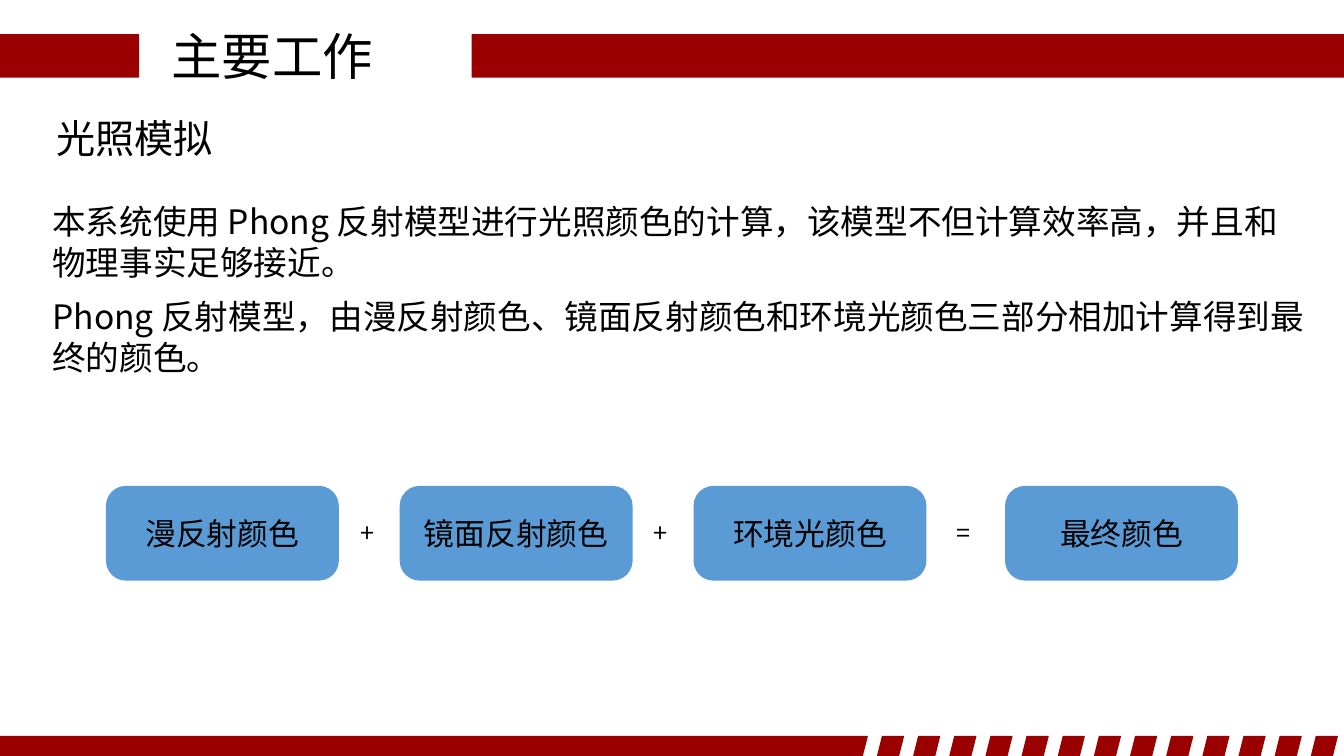
from dataclasses import dataclass
from typing import Any

from lxml.etree import SubElement
from pptx import Presentation
from pptx.dml.color import RGBColor
from pptx.enum.shapes import MSO_SHAPE
from pptx.enum.text import MSO_ANCHOR, MSO_AUTO_SIZE, PP_ALIGN
from pptx.oxml.ns import qn
from pptx.util import Emu, Inches, Pt

COLORS = {"band": "9B0000", "card": "5B9BD5", "text": "000000"}
FONT = "Noto Sans CJK SC"

prs = Presentation()
prs.slide_width, prs.slide_height = Inches(13.333), Inches(7.5)
s = prs.slides.add_slide(prs.slide_layouts[5])


@dataclass(frozen=True)
class Box:
    """Percentages of the slide's width and height."""
    left: float
    top: float
    width: float
    height: float

    def emu(self) -> tuple[Emu, Emu, Emu, Emu]:
        return across(self.left), down(self.top), across(self.width), down(self.height)


@dataclass(frozen=True)
class Term:
    text: str
    sign: str = ""
    gap: float = 0


def across(share: float) -> Emu:
    return Emu(round(prs.slide_width * share / 100))


def down(share: float) -> Emu:
    return Emu(round(prs.slide_height * share / 100))


def assign(target: Any, values: dict[str, Any]) -> None:
    for name, value in values.items():
        setattr(target, name, value)


def paint(sp: Any, color: str) -> None:
    sp.shadow.inherit = False
    sp.fill.solid()
    sp.fill.fore_color.rgb = RGBColor.from_string(COLORS[color])
    sp.line.fill.background()


def add_block(kind: MSO_SHAPE, box: Box, color: str) -> Any:
    sp = s.shapes.add_shape(kind, *box.emu())
    paint(sp, color)
    return sp


def write(sp: Any, lines: list[str], size: int, frame: dict[str, Any], para: dict[str, Any]) -> None:
    tf = sp.text_frame
    assign(tf, {"word_wrap": True, "auto_size": MSO_AUTO_SIZE.NONE,
                "vertical_anchor": MSO_ANCHOR.TOP} | frame)
    for i, line in enumerate(lines):
        p = tf.paragraphs[0] if i == 0 else tf.add_paragraph()
        assign(p, {"alignment": PP_ALIGN.LEFT} | para)
        if i == 0:
            p.space_before = Pt(0)
        r = p.add_run()
        r.text = line
        assign(r.font, {"size": Pt(size), "name": FONT})
        r.font.color.rgb = RGBColor.from_string(COLORS["text"])
        SubElement(r.font._element, qn("a:ea")).set("typeface", FONT)


def add_text(box: Box, lines: list[str], size: int, frame: dict[str, Any], para: dict[str, Any]) -> None:
    write(s.shapes.add_textbox(*box.emu()), lines, size, frame, para)


TIGHT = {f"margin_{side}": Inches(0.06) for side in ("left", "top", "right", "bottom")}
MIDDLE = TIGHT | {"vertical_anchor": MSO_ANCHOR.MIDDLE}

BAND_TOP, BAND_HEIGHT = 4.53, 5.73
for left, width in ((0, 10.35), (35.1, 64.9)):
    add_block(MSO_SHAPE.RECTANGLE, Box(left, BAND_TOP, width, BAND_HEIGHT), "band")

title = s.shapes.title
assign(title, dict(zip(("left", "top", "width", "height"), Box(12, 2.67, 20.18, 9.47).emu())))
write(title, ["主要工作"], 36, {}, {"alignment": PP_ALIGN.JUSTIFY})

FOOT_TOP, FOOT_HEIGHT = 97.33, 2.67
foot = s.shapes.build_freeform(0, down(FOOT_TOP), scale=1.0)
foot.add_line_segments([(across(64.58), down(FOOT_TOP)), (across(64.2), down(100)),
                        (0, down(100))], close=True)
paint(foot.convert_to_shape(), "band")
for i in range(13):
    add_block(MSO_SHAPE.PARALLELOGRAM, Box(65.25 + 2.69 * i, FOOT_TOP, 2.03, FOOT_HEIGHT), "band")

add_text(Box(3.45, 15.2, 91.05, 7.47), ["光照模拟"], 28, {}, {"line_spacing": 0.9})
add_text(
    Box(3.45, 25.73, 94.05, 25.2),
    ["本系统使用 Phong 反射模型进行光照颜色的计算，该模型不但计算效率高，并且和物理事实足够接近。",
     "Phong 反射模型，由漫反射颜色、镜面反射颜色和环境光颜色三部分相加计算得到最终的颜色。"],
    24, TIGHT, {"space_before": Pt(10), "line_spacing": Pt(29)})

TERMS = (Term("漫反射颜色", "+", 4.53), Term("镜面反射颜色", "+", 4.53),
         Term("环境光颜色", "=", 5.85), Term("最终颜色"))
CARD_TOP, CARD_WIDTH, CARD_HEIGHT = 64.27, 17.33, 12.53
SIGN_TOP, SIGN_WIDTH, SIGN_HEIGHT = 67.07, 2.25, 6.67
left = 7.88
for term in TERMS:
    card = add_block(MSO_SHAPE.ROUNDED_RECTANGLE, Box(left, CARD_TOP, CARD_WIDTH, CARD_HEIGHT), "card")
    card.adjustments[0] = 0.21
    write(card, [term.text], 22, MIDDLE, {"alignment": PP_ALIGN.CENTER})
    left += CARD_WIDTH
    if term.sign:
        add_text(Box(left + (term.gap - SIGN_WIDTH) / 2, SIGN_TOP, SIGN_WIDTH, SIGN_HEIGHT), [term.sign],
                 18, MIDDLE | {"word_wrap": False, "auto_size": MSO_AUTO_SIZE.SHAPE_TO_FIT_TEXT}, {})
    left += term.gap

prs.save("out.pptx")
